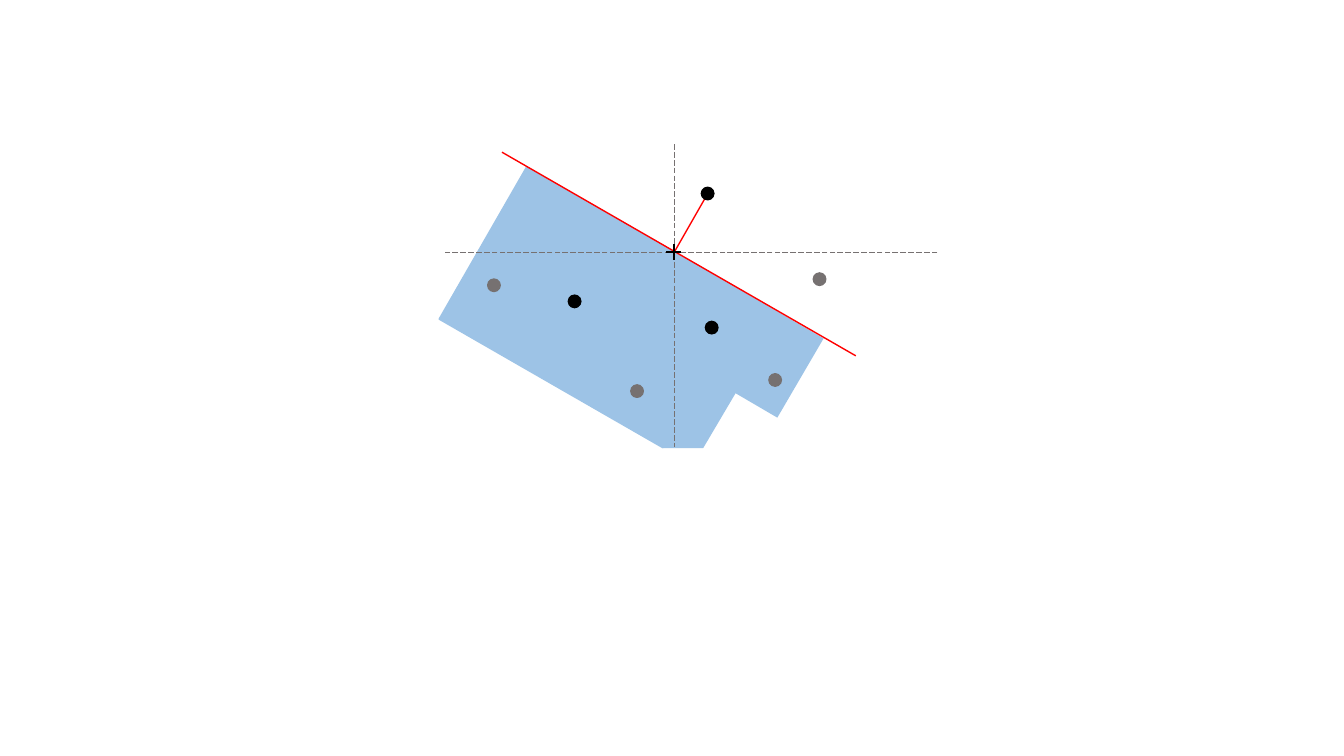
import pptx
import pptx.dml.color
import pptx.enum.dml
import pptx.enum.shapes
import pptx.oxml.ns
import pptx.util
from lxml import etree

RGBColor = pptx.dml.color.RGBColor
Kind = pptx.enum.shapes.MSO_SHAPE
Dash = pptx.enum.dml.MSO_LINE

BLUE = RGBColor(0x9D, 0xC3, 0xE6)
RED = RGBColor(0xFF, 0x00, 0x00)
GREY = RGBColor(0x76, 0x71, 0x71)
BLACK = RGBColor(0x00, 0x00, 0x00)

CELL = pptx.util.Inches(0.1)
COLUMNS, ROWS = 133.33, 75
ORIGIN_COLUMN, ORIGIN_ROW = 66.9, 25
DOT_SIZE = 1.24

RED_LINE = {"width": pptx.util.Pt(1)}
AXIS_LINE = {"width": pptx.util.Pt(0.5), "dash_style": Dash.LONG_DASH}
CROSS_LINE = {"width": pptx.util.Pt(1.5)}
OUTLINE = {"width": pptx.util.Pt(1)}

BLACK_DOTS = [(3.7, 7.5), (-9.9, 4.9), (3.3, -5.8)]
GREY_DOTS = [(10, 12.7), (-17.9, 3.3), (-3.7, 13.8), (14.4, 2.7)]


def cells(count):
    return pptx.util.Emu(round(count * CELL))


def from_origin(column, row):
    return cells(ORIGIN_COLUMN + column), cells(ORIGIN_ROW + row)


def style_line(line, color, line_format):
    line.color.rgb = color
    for name, value in line_format.items():
        setattr(line, name, value)


def add_solid(group, kind, column, row, width, height, color, outlined=True):
    shape = group.shapes.add_shape(
        kind, *from_origin(column, row), cells(width), cells(height))
    shape.shadow.inherit = False
    shape.fill.solid()
    shape.fill.fore_color.rgb = color
    if outlined:
        style_line(shape.line, color, OUTLINE)
    else:
        shape.line.fill.background()
    return shape


def add_flipped_trapezoid(group, column, row, width, height, slant, outlined=True):
    shape = add_solid(group, Kind.TRAPEZOID, column, row, width, height, BLUE, outlined)
    shape.adjustments[0] = slant
    shape.element.spPr.get_or_add_xfrm().set("flipV", "1")
    return shape


def add_line(group, start, end, color, line_format):
    line = group.shapes.add_connector(
        pptx.enum.shapes.MSO_CONNECTOR.STRAIGHT,
        *from_origin(*start), *from_origin(*end))
    style_line(line.line, color, line_format)
    etree.SubElement(line.element.spPr, pptx.oxml.ns.qn("a:effectLst"))


def add_dot(group, column, row, color):
    add_solid(group, Kind.OVAL, column - DOT_SIZE / 2, row - DOT_SIZE / 2,
              DOT_SIZE, DOT_SIZE, color)


def add_half_plane(group):
    add_flipped_trapezoid(group, -5.6, 11.8, 12.9, 7.6, 0.59)
    corner = add_flipped_trapezoid(group, -1, 4.3, 14.5, 9.1, 0, outlined=False)
    corner.rotation = 30.3
    body = add_solid(group, Kind.RECTANGLE, -20.7, -3.2, 25.6, 17.4, BLUE)
    body.rotation = 29.9


def main():
    deck = pptx.Presentation()
    deck.slide_width = cells(COLUMNS)
    deck.slide_height = cells(ROWS)
    page = deck.slides.add_slide(deck.slide_layouts[6])
    diagram = page.shapes.add_group_shape()

    add_half_plane(diagram)
    for start, end, color, line_format in [
        ((3.2, -5.6), (0, 0), RED, RED_LINE),
        ((-17.1, -9.9), (18, 10.3), RED, RED_LINE),
        ((0, -10.7), (0, 19.3), GREY, AXIS_LINE),
        ((26.1, 0), (-22.9, 0), GREY, AXIS_LINE),
        ((-0.8, 0), (0.7, 0), BLACK, CROSS_LINE),
        ((0, -0.8), (0, 0.8), BLACK, CROSS_LINE),
    ]:
        add_line(diagram, start, end, color, line_format)
    for color, centers in [(BLACK, BLACK_DOTS), (GREY, GREY_DOTS)]:
        for column, row in centers:
            add_dot(diagram, column, row, color)

    deck.save("out.pptx")


if __name__ == "__main__":
    main()
